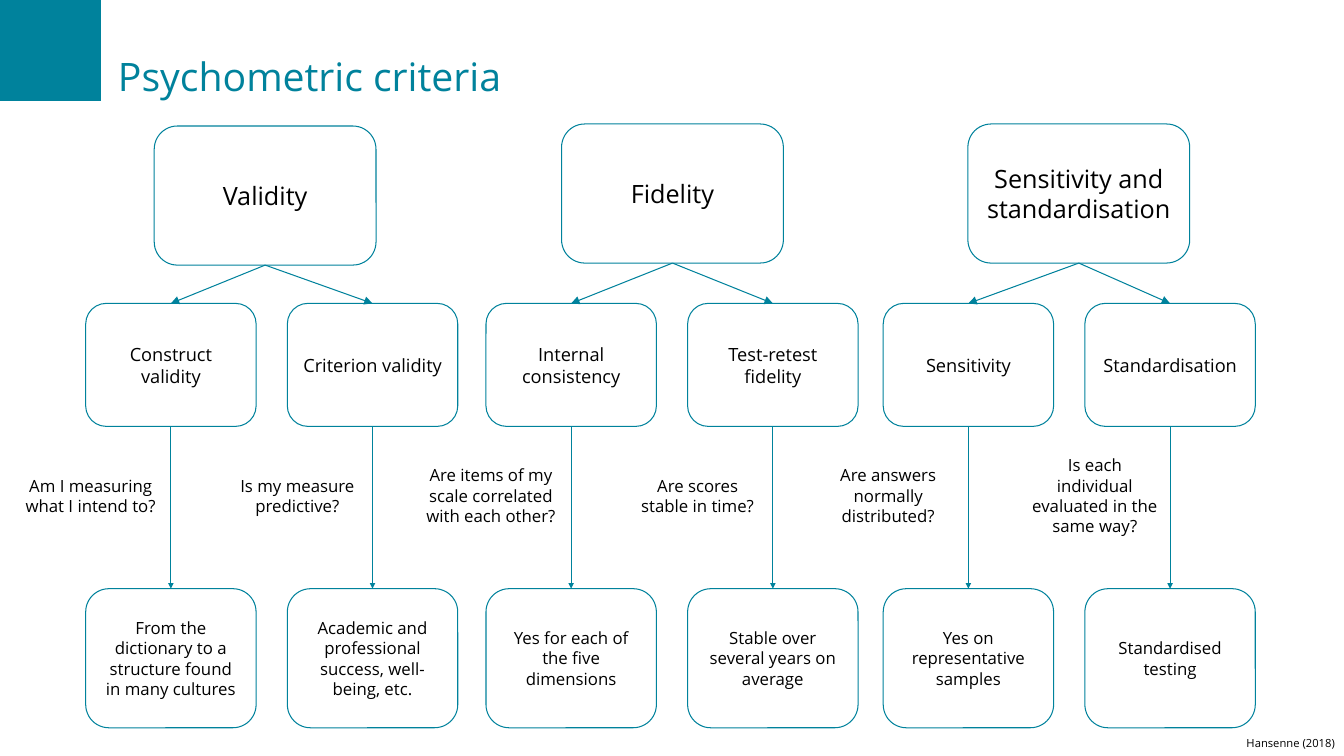
"""Build the slide on psychometric criteria as three small trees."""
from lxml.etree import SubElement
from pptx import Presentation
from pptx.dml.color import RGBColor
from pptx.enum.shapes import MSO_CONNECTOR, MSO_SHAPE
from pptx.enum.text import MSO_ANCHOR, MSO_AUTO_SIZE, PP_ALIGN
from pptx.oxml.ns import qn
from pptx.util import Inches, Pt

TEAL = RGBColor(0x00, 0x82, 0x9C)
BLACK = RGBColor(0x00, 0x00, 0x00)
FONT = "Open Sans"
BOTTOM, TOP = 2, 0

prs = Presentation()
prs.slide_width, prs.slide_height = Inches(13.33), Inches(7.5)
slide = prs.slides.add_slide(prs.slide_layouts[5])
shapes = slide.shapes


def write(shape, text, size, color=BLACK, align=PP_ALIGN.CENTER,
          anchor=MSO_ANCHOR.MIDDLE, inset=0.1):
    frame = shape.text_frame
    frame.word_wrap = True
    frame.vertical_anchor = anchor
    frame.margin_left = frame.margin_right = Inches(inset)
    frame.margin_top = frame.margin_bottom = Inches(inset)
    paragraph = frame.paragraphs[0]
    paragraph.alignment = align
    run = paragraph.add_run()
    run.text = text
    run.font.name, run.font.size = FONT, Pt(size)
    run.font.color.rgb = color
    return run


def connect(start, end, head_size):
    arrow = shapes.add_connector(MSO_CONNECTOR.STRAIGHT, 0, 0, 0, 0)
    arrow.begin_connect(start, BOTTOM)
    arrow.end_connect(end, TOP)
    arrow.line.color.rgb, arrow.line.width = TEAL, Pt(0.75)
    SubElement(arrow.line._get_or_add_ln(), qn("a:tailEnd"),
               type="triangle", w=head_size, len=head_size)
    SubElement(arrow._element.spPr, qn("a:effectLst"))


wave_curves = [
    ((1.76, 0.03), (1.76, 0.06), (1.75, 0.09)),
    ((1.71, 0.2), (1.61, 0.3), (1.51, 0.36)),
    ((1.33, 0.48), (1.13, 0.53), (0.92, 0.58)),
    ((0.72, 0.62), (0.51, 0.67), (0.32, 0.77)),
    ((0.18, 0.85), (0.06, 0.98), (0, 1.12)),
]
wave_points = [(1.77, 0)]
for c1, c2, end in wave_curves:
    start = wave_points[-1]
    for step in range(1, 13):
        t = step / 12
        weights = ((1 - t) ** 3, 3 * t * (1 - t) ** 2, 3 * t ** 2 * (1 - t), t ** 3)
        wave_points.append(tuple(
            sum(w * p[axis] for w, p in zip(weights, (start, c1, c2, end)))
            for axis in (0, 1)))
outline = shapes.build_freeform(*wave_points[0], scale=Inches(1))
outline.add_line_segments(wave_points[1:] + [(0, 0)], close=True)
wave = outline.convert_to_shape()
wave.shadow.inherit = False
wave.fill.solid()
wave.fill.fore_color.rgb = TEAL
wave.line.fill.background()

title = shapes.title
title.left, title.top = Inches(1.04), Inches(0.39)
title.width, title.height = Inches(11.25), Inches(0.84)
title_run = write(title, "Psychometric criteria", 28, TEAL, PP_ALIGN.JUSTIFY,
                  MSO_ANCHOR.TOP, 0.13)
effects = SubElement(title_run.font._element, qn("a:effectLst"))
title_run.font._element.find(qn("a:solidFill")).addnext(effects)
text_shadow = SubElement(effects, qn("a:outerShdw"), dist="38100", dir="2700000")
shadow_color = SubElement(text_shadow, qn("a:srgbClr"), val="000000")
SubElement(shadow_color, qn("a:alpha"), val="15000")

source = shapes.add_textbox(Inches(6.67), Inches(7.26), Inches(6.67), Inches(0.24))
write(source, "Hansenne (2018)", 8, align=PP_ALIGN.RIGHT, anchor=MSO_ANCHOR.TOP)
source.text_frame.margin_top = source.text_frame.margin_bottom = Inches(0.05)
source.text_frame.auto_size = MSO_AUTO_SIZE.SHAPE_TO_FIT_TEXT

criteria = [
    ("Validity", 1.53, 1.25, 0.85, [
        ("Construct validity", "Am I measuring what I intend to?",
         "From the dictionary to a structure found in many cultures"),
        ("Criterion validity", "Is my measure predictive?",
         "Academic and professional success, well-being, etc."),
    ]),
    ("Fidelity", 5.57, 1.23, 4.82, [
        ("Internal consistency", "Are items of my scale correlated with each other?",
         "Yes for each of the five dimensions"),
        ("Test-retest fidelity", "Are scores stable in time?",
         "Stable over several years on average"),
    ]),
    ("Sensitivity and standardisation", 9.6, 1.23, 8.76, [
        ("Sensitivity", "Are answers normally distributed?",
         "Yes on representative samples"),
        ("Standardisation", "Is each individual evaluated in the same way?",
         "Standardised testing"),
    ]),
]
for criterion, criterion_left, criterion_top, first_left, facets in criteria:
    boxes = [(criterion, 18, criterion_left, criterion_top, 2.2, 1.38)]
    for column, (facet, question, answer) in enumerate(facets):
        left = first_left + 2 * column
        boxes += [(facet, 13, left, 3.01, 1.69, 1.22),
                  (answer, 12, left, 5.84, 1.69, 1.38)]
        question_left = left - (0.7, 0.65)[column]
        question_box = shapes.add_textbox(
            Inches(question_left), Inches(4.56), Inches(1.5), Inches(0.71))
        write(question_box, question, 12)

    drawn = []
    for text, size, left, top, width, height in boxes:
        box = shapes.add_shape(MSO_SHAPE.ROUNDED_RECTANGLE, Inches(left),
                               Inches(top), Inches(width), Inches(height))
        box.shadow.inherit = False
        box.fill.background()
        box.line.color.rgb, box.line.width = TEAL, Pt(0.75)
        write(box, text, size)
        drawn.append(box)

    criterion_box, *facet_boxes = drawn
    for facet_box, answer_box in zip(facet_boxes[::2], facet_boxes[1::2]):
        connect(criterion_box, facet_box, "med")
        connect(facet_box, answer_box, "sm")

prs.save("out.pptx")
